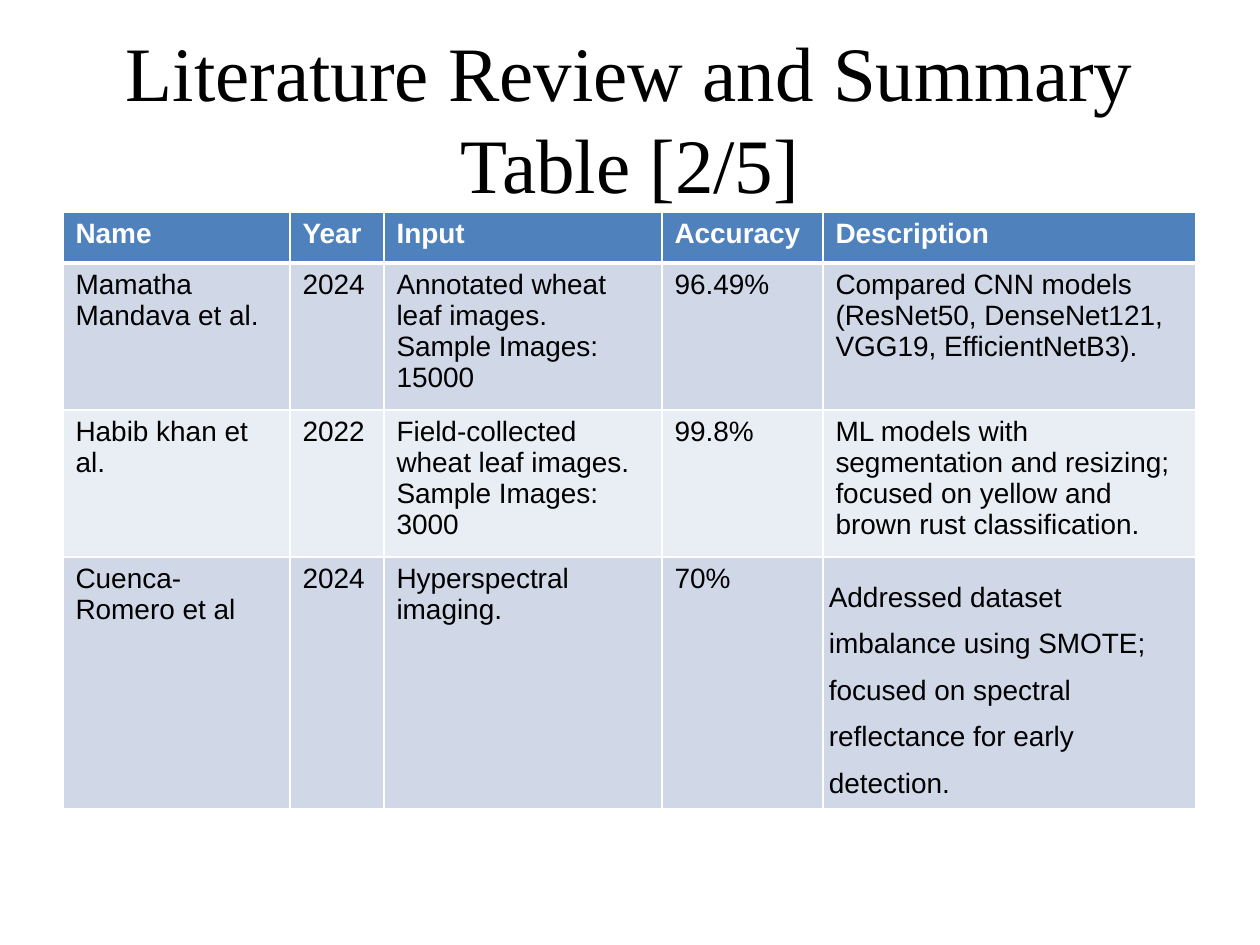
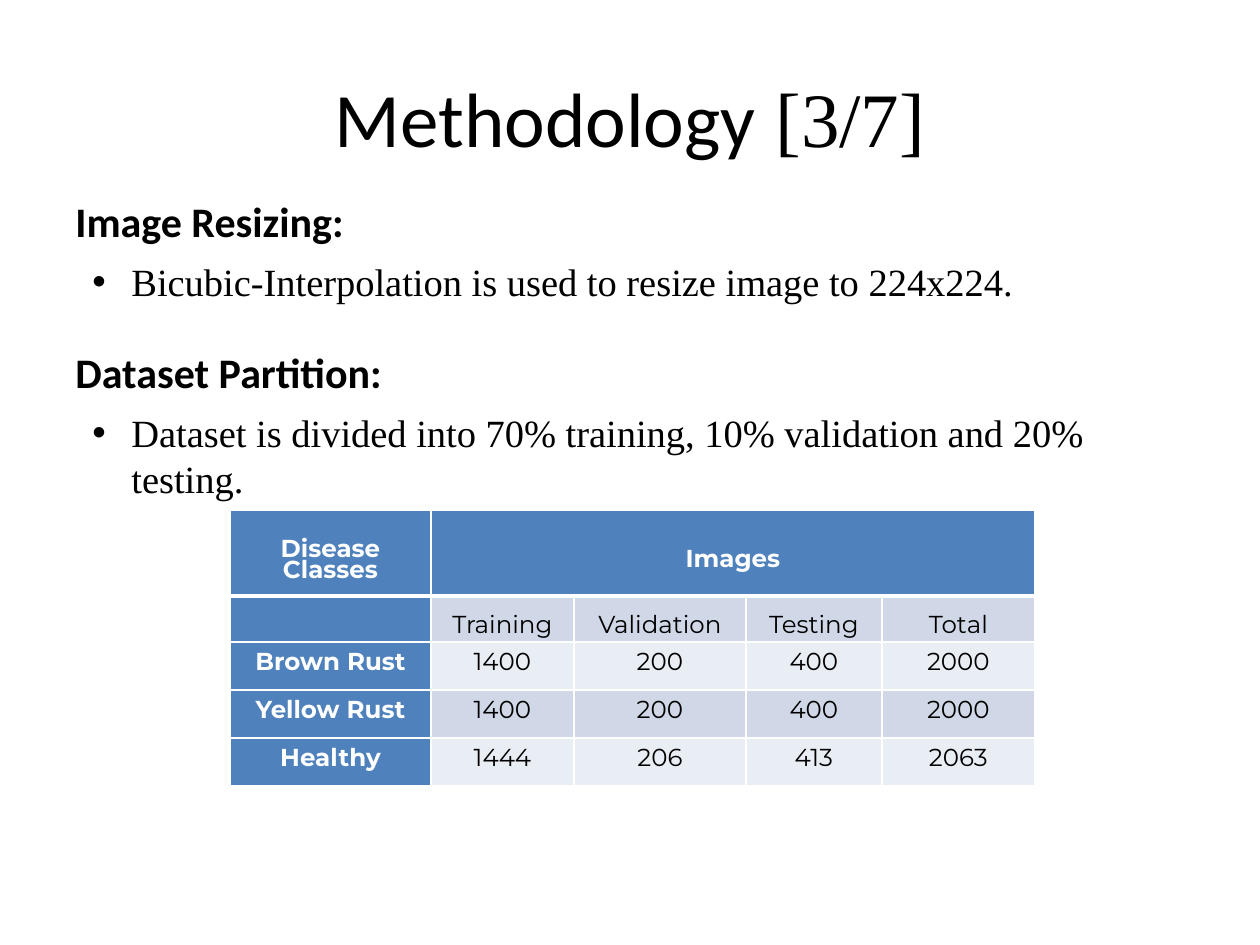
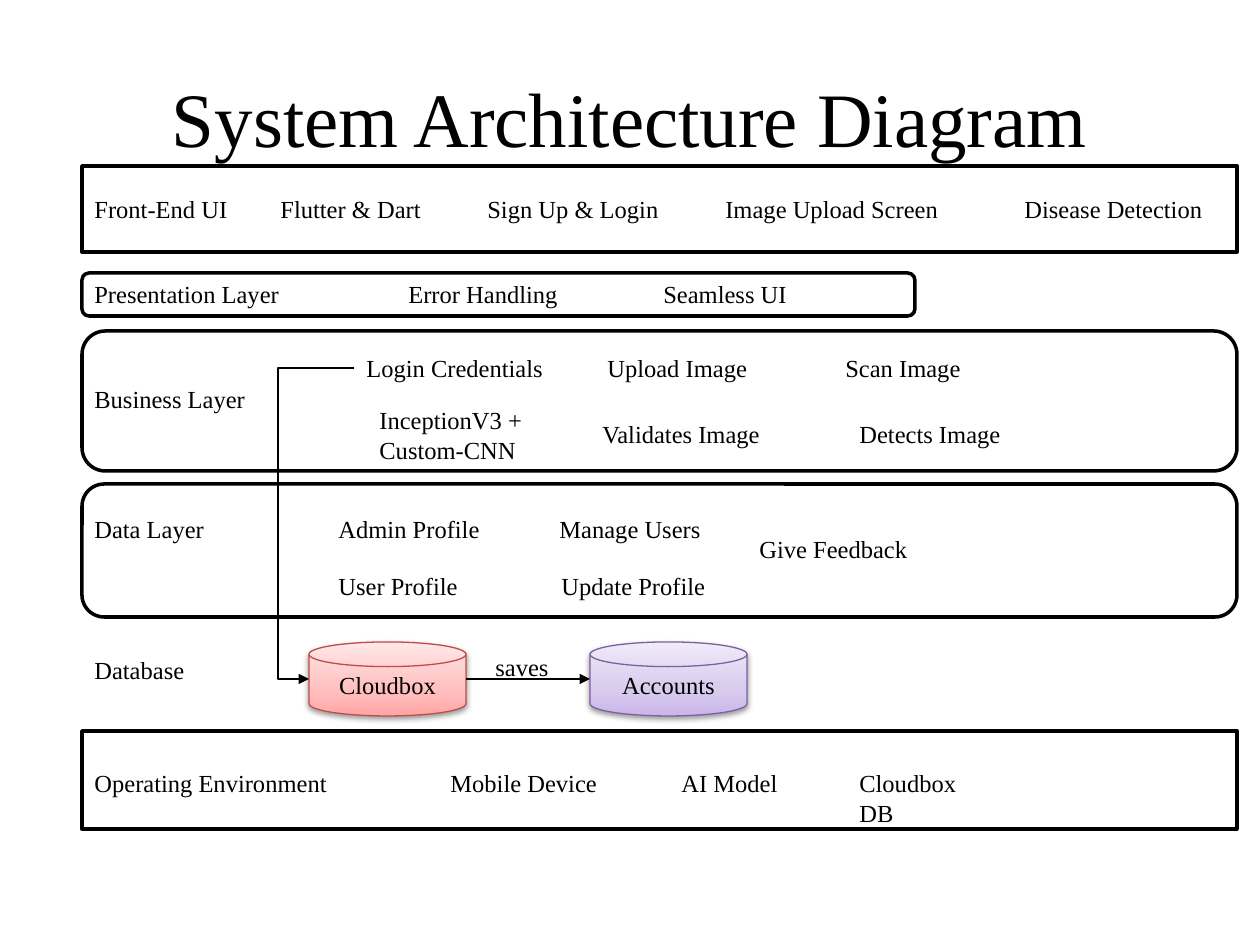
from lxml import etree
from pptx import Presentation, util as u
from pptx.dml.color import RGBColor
from pptx.enum import shapes, text
from pptx.oxml.ns import qn

PX = 914400 / 126
COLORS = {"ink": "000000", "paper": "FFFFFF", "header": "4F81BD",
          "band_dark": "D0D8E8", "band_light": "E9EDF4",
          "red_line": "BF4C48", "purple_line": "7D60A0"}
RGB = {name: RGBColor.from_string(value) for name, value in COLORS.items()}
SERIF, SANS = "Times New Roman", "Calibri"
LEFT, CENTER = text.PP_ALIGN.LEFT, text.PP_ALIGN.CENTER
MIDDLE = text.MSO_ANCHOR.MIDDLE


def write(frame, runs, size, color="ink", bold=False, align=LEFT):
    """Fill the first paragraph with (text, font) runs; a newline breaks the line."""
    para = frame.paragraphs[0]
    para.alignment = align
    for words, font in runs:
        for index, line in enumerate(words.split("\n")):
            if index:
                para.add_line_break()
            span = para.add_run()
            span.text = line
            span.font.name, span.font.size, span.font.bold = font, u.Pt(size), bold
            span.font.color.rgb = RGB[color]
    return para


def add_grid(slide, left, top, widths, heights, rows, font, size, head_column, align):
    """Add a banded table with white rules and a blue header row."""
    grid = slide.shapes.add_table(len(rows), len(widths), *(
        u.Emu(int(n * PX)) for n in (left, top, sum(widths), sum(heights)))).table
    for column, width in zip(grid.columns, widths):
        column.width = u.Emu(int(width * PX))
    for row, height in zip(grid.rows, heights):
        row.height = u.Emu(int(height * PX))
    for r, row in enumerate(rows):
        for c, words in enumerate(row):
            cell = grid.cell(r, c)
            head = r == 0 or (head_column and c == 0)
            cell.fill.solid()
            cell.fill.fore_color.rgb = RGB[
                "header" if head else "band_dark" if r % 2 else "band_light"]
            if words:
                write(cell.text_frame, [(words, font)], size,
                      "paper" if head else "ink", head, align)
            props = cell._tc.get_or_add_tcPr()
            for index, side in enumerate("LRTB"):
                thick = (r == 0 and side == "B") or (r == 1 and side == "T")
                rule = etree.Element(qn(f"a:ln{side}"), w=str(u.Pt(3 if thick else 1)))
                fill = etree.SubElement(rule, qn("a:solidFill"))
                etree.SubElement(fill, qn("a:srgbClr"), val=COLORS["paper"])
                props.insert(index, rule)
    return grid


deck = Presentation()
deck.slide_width, deck.slide_height = u.Inches(10), u.Inches(7.5)
TITLES = [
    [("Literature Review and Summary Table [2/5]", SERIF)],
    [("Methodology", SANS), (" [3/7]", SERIF)],
    [("System Architecture Diagram", SERIF)],
]
slides = [deck.slides.add_slide(deck.slide_layouts[6]) for _ in TITLES]
review, method, architecture = slides

# Layer frames lie beneath the title and the labels
kinds = shapes.MSO_SHAPE
LAYERS = [
    (kinds.RECTANGLE, 731, 1155, 98),
    (kinds.ROUNDED_RECTANGLE, 484, 1155, 133),
    (kinds.ROUNDED_RECTANGLE, 331, 1155, 140),
    (kinds.ROUNDED_RECTANGLE, 273, 833, 43),
    (kinds.RECTANGLE, 166, 1155, 86),
]
for kind, top, width, height in LAYERS:
    layer = architecture.shapes.add_shape(
        kind, *(u.Emu(int(n * PX)) for n in (82, top, width, height)))
    layer.shadow.inherit = False
    layer.fill.solid()
    layer.fill.fore_color.rgb = RGB["paper"]
    layer.line.color.rgb = RGB["ink"]
    layer.line.width = u.Pt(2)

for slide, runs in zip(slides, TITLES):
    box = slide.shapes.add_textbox(*(u.Emu(int(n * PX)) for n in (63, 38, 1134, 157)))
    box.text_frame.word_wrap = True
    box.text_frame.vertical_anchor = MIDDLE
    write(box.text_frame, runs, 44, align=CENTER)

# Literature review
papers = [
    ["Name", "Year", "Input", "Accuracy", "Description"],
    ["Mamatha Mandava et al.", "2024",
     "Annotated wheat leaf images. Sample Images: 15000", "96.49%",
     "Compared CNN models (ResNet50, DenseNet121, VGG19, EfficientNetB3)."],
    ["Habib khan et al.", "2022",
     "Field-collected wheat leaf images. Sample Images: 3000", "99.8%",
     "ML models with segmentation and resizing; focused on yellow and brown "
     "rust classification."],
    ["Cuenca- Romero et al", "2024", "Hyperspectral imaging.", "70%",
     "Addressed dataset imbalance using SMOTE; focused on spectral "
     "reflectance for early detection."],
]
grid = add_grid(review, 63, 212, [227, 94, 278, 161, 373], [51, 137, 137, 233],
                papers, "Arial", 16, False, LEFT)
spaced = grid.cell(3, 4)
spaced.vertical_anchor = MIDDLE
spaced.margin_left = u.Emu(int(6 * PX))
spaced.margin_top = spaced.margin_right = spaced.margin_bottom = 0
spaced.text_frame.paragraphs[0].line_spacing = 1.5

# Methodology
SECTIONS = [
    (189, "Image Resizing:", 59,
     "Bicubic-Interpolation is used to resize image to 224x224."),
    (340, "Dataset Partition:", 106,
     "Dataset is divided into 70% training, 10% validation and 20% testing."),
]
for top, heading, height, point in SECTIONS:
    box = method.shapes.add_textbox(*(u.Emu(int(n * PX)) for n in (63, top, 402, 63)))
    box.text_frame.word_wrap = True
    box.text_frame.vertical_anchor = MIDDLE
    write(box.text_frame, [(heading, SANS)], 24, bold=True)
    box = method.shapes.add_textbox(
        *(u.Emu(int(n * PX)) for n in (80, top + 63, 1103, height)))
    box.text_frame.word_wrap = True
    para = write(box.text_frame, [(point, SERIF)], 22)
    props = para._p.get_or_add_pPr()
    props.set("marL", str(int(39 * PX)))
    props.set("indent", str(int(-39 * PX)))
    etree.SubElement(props, qn("a:buFont"), typeface="Arial")
    etree.SubElement(props, qn("a:buChar"), char="•")

partition = [
    ["Disease Classes", "Images", "", "", ""],
    ["", "Training", "Validation", "Testing", "Total"],
    ["Brown Rust", "1400", "200", "400", "2000"],
    ["Yellow Rust", "1400", "200", "400", "2000"],
    ["Healthy", "1444", "206", "413", "2063"],
]
grid = add_grid(method, 230, 510, [201, 143, 172, 136, 153], [86, 46, 48, 48, 48],
                partition, "Montserrat", 14, True, CENTER)
for r in range(len(partition)):
    for c in range(len(partition[r])):
        cell = grid.cell(r, c)
        cell.vertical_anchor = MIDDLE
        cell.margin_left = cell.margin_right = u.Emu(int(9 * PX))
        cell.margin_top = u.Pt(12) if r < 2 and partition[r][c] else 0
        cell.margin_bottom = 0
        cell.text_frame.paragraphs[0].line_spacing = u.Pt(12)
grid.cell(0, 1).merge(grid.cell(0, 4))

# System architecture: labels as top, then (left, width, words)
LABELS = [
    (188, [(82, 159, "Front-End UI"), (268, 173, "Flutter & Dart"),
           (475, 204, "Sign Up & Login"), (713, 239, "Image Upload Screen"),
           (1012, 205, "Disease Detection")]),
    (273, [(82, 212, "Presentation Layer"), (396, 175, "Error Handling"),
           (651, 150, "Seamless UI")]),
    (378, [(82, 178, "Business Layer")]),
    (347, [(354, 203, "Login Credentials"), (595, 166, "Upload Image"),
           (833, 141, "Scan Image")]),
    (399, [(367, 169, "InceptionV3 +\nCustom-CNN")]),
    (413, [(590, 188, "Validates Image"), (847, 168, "Detects Image")]),
    (508, [(82, 136, "Data Layer"), (326, 173, "Admin Profile"),
           (547, 168, "Manage Users")]),
    (528, [(747, 175, "Give Feedback")]),
    (565, [(326, 146, "User Profile"), (549, 170, "Update Profile")]),
    (649, [(82, 116, "Database")]),
    (646, [(483, 79, "saves")]),
    (762, [(82, 260, "Operating Environment"), (438, 174, "Mobile Device"),
           (669, 123, "AI Model"), (847, 150, "Cloudbox DB")]),
]
for top, labels in LABELS:
    for left, width, words in labels:
        height = 72 if "\n" in words else 43
        box = architecture.shapes.add_textbox(
            *(u.Emu(int(n * PX)) for n in (left, top, width, height)))
        box.text_frame.word_wrap = False
        box.text_frame.auto_size = text.MSO_AUTO_SIZE.SHAPE_TO_FIT_TEXT
        write(box.text_frame, [(words, SERIF)], 14)

STORES = [
    (309, "Cloudbox", "red_line", ["FFA6A5", "FFC0BF", "FFE7E7"]),
    (590, "Accounts", "purple_line", ["C9B5E8", "D8CBEE", "F0EAF9"]),
]
for left, words, edge, shades in STORES:
    store = architecture.shapes.add_shape(
        kinds.FLOWCHART_MAGNETIC_DISK,
        *(u.Emu(int(n * PX)) for n in (left, 642, 157, 74)))
    store.line.color.rgb = RGB[edge]
    store.line.width = u.Pt(0.75)
    store.fill.gradient()
    store.fill.gradient_angle = 90
    stops = store._element.spPr.find(".//" + qn("a:gsLst"))
    for stop in list(stops):
        stops.remove(stop)
    for position, shade in zip((0, 35, 100), shades):
        stop = etree.SubElement(stops, qn("a:gs"), pos=str(position * 1000))
        etree.SubElement(stop, qn("a:srgbClr"), val=shade)
    store.shadow.inherit = False
    effects = store._element.spPr.find(qn("a:effectLst"))
    shadow = etree.SubElement(effects, qn("a:outerShdw"), blurRad="40000",
                              dist="20000", dir="5400000", rotWithShape="0")
    tint = etree.SubElement(shadow, qn("a:srgbClr"), val=COLORS["ink"])
    etree.SubElement(tint, qn("a:alpha"), val="38000")
    store.text_frame.vertical_anchor = MIDDLE
    write(store.text_frame, [(words, SERIF)], 14, align=CENTER)

ARROWS = [
    (shapes.MSO_CONNECTOR.ELBOW, 354, 368, 309, 679),
    (shapes.MSO_CONNECTOR.STRAIGHT, 466, 679, 590, 679),
]
for kind, *ends in ARROWS:
    arrow = architecture.shapes.add_connector(kind, *(u.Emu(int(n * PX)) for n in ends))
    arrow.line.color.rgb = RGB["ink"]
    arrow.line.width = u.Pt(0.75)
    etree.SubElement(arrow.line._get_or_add_ln(), qn("a:tailEnd"), type="triangle")
    props = arrow._element.spPr
    etree.SubElement(props, qn("a:effectLst"))
    if kind == shapes.MSO_CONNECTOR.ELBOW:
        guides = props.find(qn("a:prstGeom")).get_or_add_avLst()
        etree.SubElement(guides, qn("a:gd"), name="adj1", fmla="val 169000")

deck.save("out.pptx")
